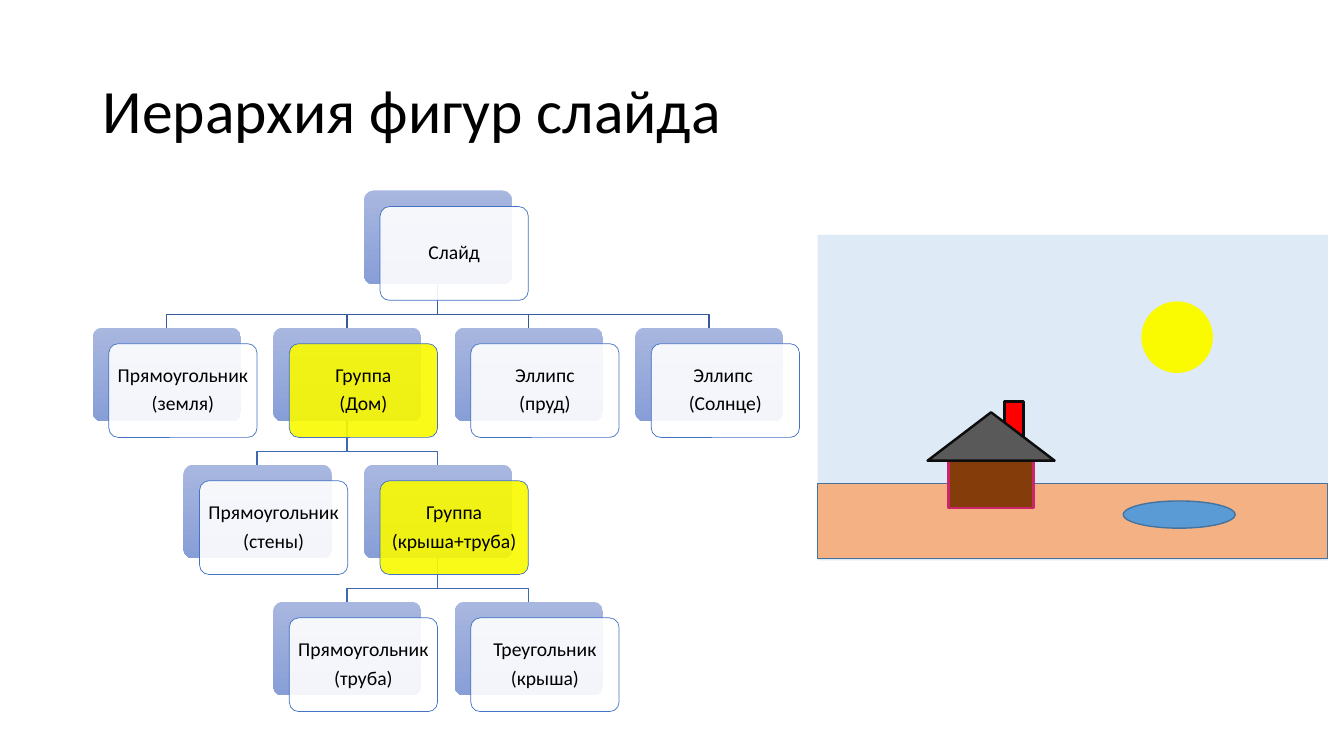
import pptx
import pptx.util
import pptx.dml.color
import pptx.enum.shapes
import pptx.enum.text
import pptx.oxml.ns
import lxml.etree

PX = 9144
FORMS = pptx.enum.shapes.MSO_SHAPE
MIDDLE = pptx.enum.text.MSO_ANCHOR.MIDDLE


def color(hex_code):
    return pptx.dml.color.RGBColor.from_string(hex_code)


def draw(shapes, form, box, fill, line=None, width=1):
    shape = shapes.add_shape(form, *[side * PX for side in box])
    shape.shadow.inherit = False
    shape.fill.solid()
    shape.fill.fore_color.rgb = color(fill)
    if line:
        shape.line.color.rgb = color(line)
        shape.line.width = pptx.util.Pt(width)
    else:
        shape.line.fill.background()
    return shape


deck = pptx.Presentation()
deck.slide_width = 1333 * PX
deck.slide_height = 750 * PX
slide = deck.slides.add_slide(deck.slide_layouts[5])

title = slide.shapes.title
title.left, title.top, title.width, title.height = [side * PX for side in (92, 40, 1150, 145)]
title.text_frame.text = "Иерархия фигур слайда"
title.text_frame.vertical_anchor = MIDDLE
heading = title.text_frame.paragraphs[0]
heading.alignment = pptx.enum.text.PP_ALIGN.LEFT
heading.line_spacing = 0.9
heading.font.name = "Calibri"
heading.font.size = pptx.util.Pt(44)
heading.font.color.rgb = color("000000")

CARD_W, CARD_H, OFFSET = 147, 93, 16
WHITE, YELLOW = "FFFFFF", "FAFA00"
nodes = [
    (0, 3, "Слайд", WHITE),
    (1, 0, "Прямоугольник\n(земля)", WHITE),
    (1, 2, "Группа\n(Дом)", YELLOW),
    (2, 1, "Прямоугольник\n(стены)", WHITE),
    (2, 3, "Группа\n(крыша+труба)", YELLOW),
    (3, 2, "Прямоугольник\n(труба)", WHITE),
    (3, 4, "Треугольник\n(крыша)", WHITE),
    (1, 4, "Эллипс\n(пруд)", WHITE),
    (1, 6, "Эллипс \n(Солнце)", WHITE),
]
column_left = [92 + round(89.7 * column) for column in range(7)]
level_top = [189 + 136 * level for level in range(4)]

branches = [
    (0, 3, (6, 4, 2, 0), "365B9D"),
    (2, 3, (4, 2), "3E67B2"),
    (1, 2, (3, 1), "3E67B2"),
]
for level, parent, children, branch_color in branches:
    parent_x = column_left[parent] + CARD_W // 2
    parent_bottom = level_top[level] + CARD_H
    fork_y = parent_bottom + 30
    for child in children:
        child_x = column_left[child] + CARD_W // 2
        outline = slide.shapes.build_freeform(parent_x, parent_bottom, PX)
        outline.add_line_segments(
            [(parent_x, fork_y), (child_x, fork_y), (child_x, level_top[level + 1])], close=False
        )
        branch = outline.convert_to_shape()
        branch.shadow.inherit = False
        branch.fill.background()
        branch.line.color.rgb = color(branch_color)
        branch.line.width = pptx.util.Pt(1)

for level, column, label, card_fill in nodes:
    left, top = column_left[column], level_top[level]
    back = draw(slide.shapes, FORMS.ROUNDED_RECTANGLE, (left, top, CARD_W, CARD_H), "9AABD9")
    back.adjustments[0] = 0.1
    back.fill.gradient()
    back.fill.gradient_angle = 270
    for stop, shade in zip(back.fill.gradient_stops, ("A8B7DF", "889ED7")):
        stop.color.rgb = color(shade)
    back.fill.gradient_stops[0].position = 0
    back.fill.gradient_stops[1].position = 1

    card = draw(slide.shapes, FORMS.ROUNDED_RECTANGLE,
                (left + OFFSET, top + OFFSET, CARD_W, CARD_H), card_fill, "4472C4", 0.5)
    card.adjustments[0] = 0.1
    tint = card.fill._xPr.find(pptx.oxml.ns.qn("a:solidFill"))[0]
    lxml.etree.SubElement(tint, pptx.oxml.ns.qn("a:alpha"), val="90000")
    frame = card.text_frame
    frame.word_wrap = True
    frame.vertical_anchor = MIDDLE
    frame.margin_left = frame.margin_right = 5 * PX
    frame.margin_top = frame.margin_bottom = 6 * PX
    frame.text = label
    for paragraph in frame.paragraphs:
        paragraph.alignment = pptx.enum.text.PP_ALIGN.CENTER
        paragraph.line_spacing = 0.9
        paragraph.space_after = pptx.util.Pt(5)
        paragraph.font.name = "Calibri"
        paragraph.font.size = pptx.util.Pt(14)
        paragraph.font.color.rgb = color("000000")

landscape = slide.shapes.add_group_shape().shapes
scenery = [
    (FORMS.RECTANGLE, (811, 233, 506, 323), "DEEBF7", None, 0),
    (FORMS.RECTANGLE, (811, 480, 506, 74), "F4B183", "43739E", 1),
    (FORMS.RECTANGLE, (996, 398, 19, 44), "FF0000", "0D0D0D", 2),
    (FORMS.OVAL, (1132, 299, 71, 71), YELLOW, None, 0),
    (FORMS.RECTANGLE, (941, 457, 84, 47), "843C0B", "CA266C", 1.75),
    (FORMS.ISOSCELES_TRIANGLE, (920, 409, 126, 48), "595959", "0D0D0D", 1.75),
    (FORMS.OVAL, (1114, 497, 111, 27), "5B9BD5", "43739E", 1),
]
for figure in scenery:
    draw(landscape, *figure)

deck.save("out.pptx")
